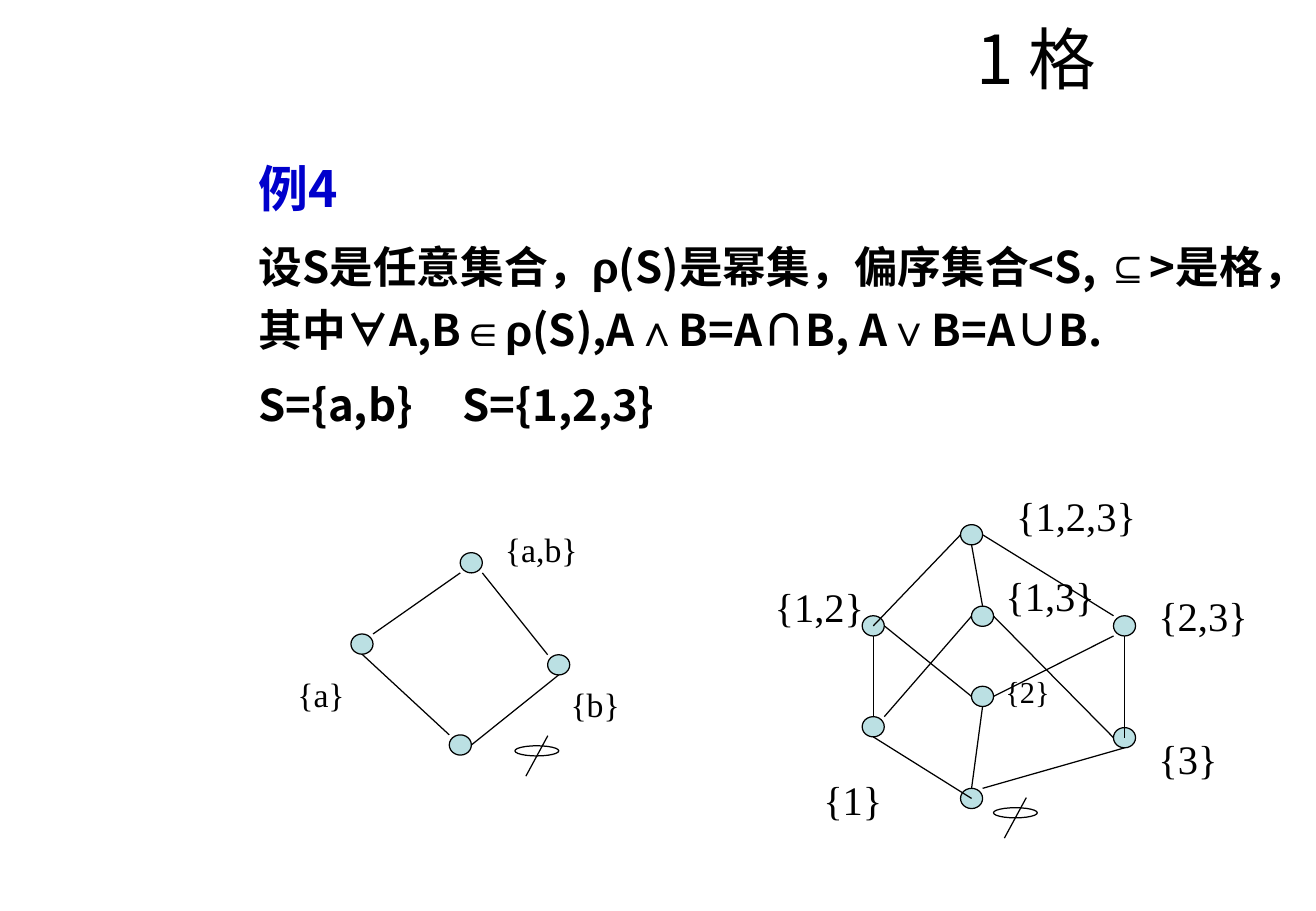
"""Build the lattice slide: an example text and two Hasse diagrams."""
from lxml.etree import SubElement
from pptx import Presentation
from pptx.dml.color import RGBColor
from pptx.enum.shapes import MSO_CONNECTOR, MSO_SHAPE
from pptx.enum.text import MSO_ANCHOR, MSO_AUTO_SIZE, PP_ALIGN
from pptx.oxml.ns import qn
from pptx.util import Pt

BLACK = RGBColor(0, 0, 0)
BLUE = RGBColor(0, 0, 0xCC)
TEAL = RGBColor(0xBB, 0xE0, 0xE3)
SANS, ARIAL, SERIF = "Noto Sans CJK SC", "Arial", "Times New Roman"

TITLE = "1 格"
BODY = [
    (29.6, BLUE, 0, [("例4", SANS)]),
    (25.9, BLACK, 7, [
        ("设S是任意集合，", SANS), ("ρ", ARIAL), ("(S)是幂集，偏序集合<S, ", SANS),
        ("⊆", ARIAL), (">是格，其中", SANS), ("∀", ARIAL), ("A,B", SANS),
        ("∈ρ", ARIAL), ("(S),A", SANS), ("∧", ARIAL), ("B=A∩B, A", SANS),
        ("∨", ARIAL), ("B=A∪B.", SANS)]),
    (25.9, BLACK, 7, [("S={a,b}\tS={1,2,3}", SANS)]),
]
TAB = 121

NODE_W, NODE_H = 13.1, 12
SIDES = {"C": (0.5, 0.5), "N": (0.5, 0), "S": (0.5, 1), "W": (0, 0.5), "E": (1, 0.5),
         "NW": (0, 0), "NE": (1, 0), "SW": (0, 1), "SE": (1, 1)}

PAIR = {
    "nodes": {"ab": (272.9, 327.6), "a": (208.1, 375.8), "b": (324.7, 388.1),
              "0": (266.4, 435.6)},
    "edges": ["ab SW a NE", "ab SE b NW", "a S 0 NW", "b S 0 E"],
    "labels": [("{a,b}", 292.3, 309.6, 71, 20), ("{b}", 331.2, 401.8, 84, 20),
               ("{a}", 169.2, 396, 71, 20)],
    "empty": (305.3, 442.1),
}
TRIPLE = {
    "nodes": {"123": (569.5, 311), "12": (511.2, 365), "13": (576, 359.3),
              "23": (660.2, 365), "1": (511.2, 424.8), "2": (576, 406.8),
              "3": (660.2, 431.3), "0": (569.5, 467.3)},
    "edges": ["123 W 12 C", "123 S 13 N", "123 E 23 NW", "12 S 1 N", "12 E 2 W",
              "13 W 1 NE", "13 E 3 W", "23 SW 2 E", "23 S 3 C", "1 S 0 C",
              "2 S 0 N", "3 S 0 NE"],
    "labels": [("{1,2,3}", 595.4, 287.3, 123, 24), ("{2,3}", 679.7, 347, 78, 24),
               ("{3}", 679.7, 431.3, 71, 24), ("{1,3}", 589, 334.8, 78, 24),
               ("{2}", 589, 395.3, 52, 18), ("{1,2}", 452.2, 341.3, 84, 24),
               ("{1}", 481, 455.8, 71, 24)],
    "empty": (589, 478.8),
}


def set_face(font, name):
    font.name = name
    SubElement(font._element, qn("a:ea")).set("typeface", name)


def style(para, size, color, name=None, bold=False):
    font = para.font
    font.size, font.bold = Pt(size), bold
    font.color.rgb = color
    if name:
        set_face(font, name)


def add_oval(shapes, x, y, w, h, fill=None):
    oval = shapes.add_shape(MSO_SHAPE.OVAL, Pt(x), Pt(y), Pt(w), Pt(h))
    oval.shadow.inherit = False
    if fill is None:
        oval.fill.background()
    else:
        oval.fill.solid()
        oval.fill.fore_color.rgb = fill
    oval.line.color.rgb = BLACK
    oval.line.width = Pt(0.75)


def add_line(shapes, start, end):
    line = shapes.add_connector(MSO_CONNECTOR.STRAIGHT, *map(Pt, start + end))
    line.line.color.rgb = BLACK
    line.line.width = Pt(0.75)
    SubElement(line._element.spPr, qn("a:effectLst"))


def add_label(shapes, text, x, y, w, size):
    frame = shapes.add_textbox(Pt(x), Pt(y), Pt(w), Pt(size * 1.2 + 7.2)).text_frame
    frame.word_wrap = True
    frame.auto_size = MSO_AUTO_SIZE.SHAPE_TO_FIT_TEXT
    para = frame.paragraphs[0]
    para.text = text
    style(para, size, BLACK, SERIF)


def draw_graph(shapes, graph):
    nodes = graph["nodes"]

    def port(name, side):
        (x, y), (dx, dy) = nodes[name], SIDES[side]
        return x + dx * NODE_W, y + dy * NODE_H

    for x, y in nodes.values():
        add_oval(shapes, x, y, NODE_W, NODE_H, TEAL)
    for edge in graph["edges"]:
        top, out, low, into = edge.split()
        add_line(shapes, port(top, out), port(low, into))
    for label in graph["labels"]:
        add_label(shapes, *label)
    x, y = graph["empty"]
    add_oval(shapes, x, y, 26, 6)
    add_line(shapes, (x + 19.5, y - 6), (x + 6.5, y + 18))


def add_title(slide):
    title = slide.shapes.title
    title.left, title.top, title.width, title.height = map(Pt, (448.6, 13, 331.2, 41.8))
    frame = title.text_frame
    frame.auto_size = MSO_AUTO_SIZE.NONE
    frame.vertical_anchor = MSO_ANCHOR.MIDDLE
    para = frame.paragraphs[0]
    para.text = TITLE
    para.alignment = PP_ALIGN.CENTER
    style(para, 40, BLACK, SANS)


def add_body(shapes):
    frame = shapes.add_textbox(*map(Pt, (146.2, 82.8, 617.8, 209.5))).text_frame
    frame.word_wrap = True
    for i, (size, color, gap, parts) in enumerate(BODY):
        para = frame.add_paragraph() if i else frame.paragraphs[0]
        para.line_spacing = 1.2
        para.space_before = Pt(gap)
        tabs = SubElement(para._p.get_or_add_pPr(), qn("a:tabLst"))
        SubElement(tabs, qn("a:tab"), pos=str(Pt(TAB)), algn="l")
        style(para, size, color, bold=True)
        for text, face in parts:
            run = para.add_run()
            run.text = text
            set_face(run.font, face)


def main():
    deck = Presentation()
    deck.slide_width, deck.slide_height = Pt(780.25), Pt(540)
    slide = deck.slides.add_slide(deck.slide_layouts[5])
    add_title(slide)
    add_body(slide.shapes)
    for graph in (TRIPLE, PAIR):
        draw_graph(slide.shapes, graph)
    deck.save("out.pptx")


if __name__ == "__main__":
    main()
